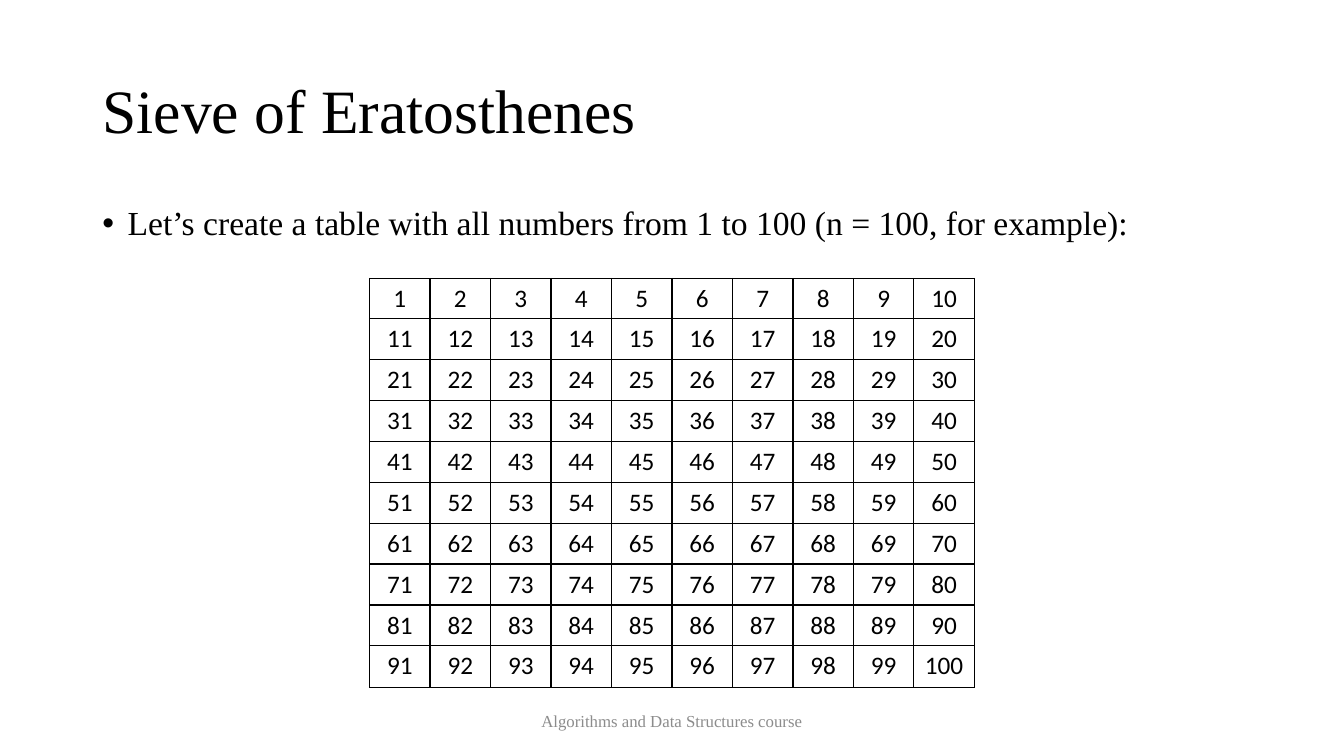
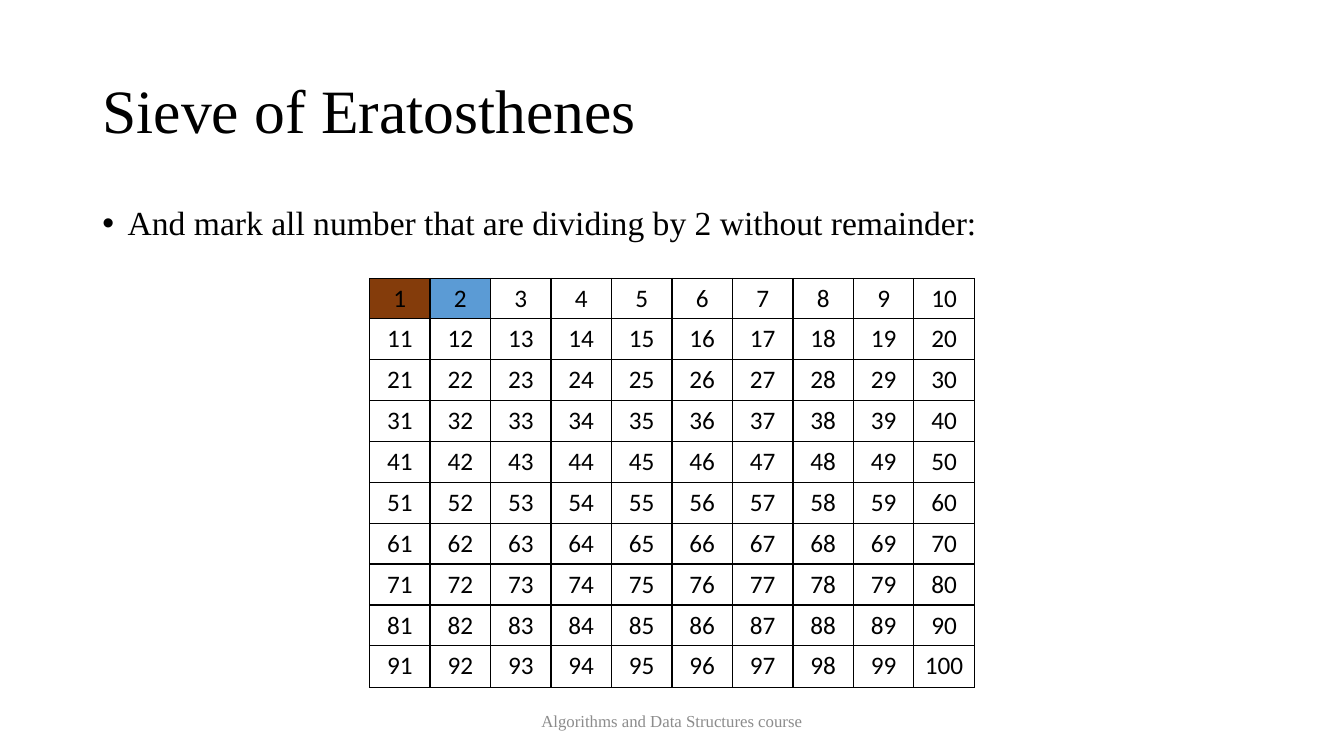
from lxml import etree
from pptx import Presentation
from pptx.dml.color import RGBColor
from pptx.enum import text as t
from pptx.oxml.ns import qn
from pptx.util import Pt

SERIF, SANS = "Times New Roman", "Calibri"
BLACK, GREY, BROWN, BLUE = "000000", "8C8C8C", "843C0B", "5B9BD5"

TITLE_BOX = (66, 28.8, 828, 104.4)
BODY_BOX = (66, 144, 828, 342.72)
FOOTER_BOX = (318, 500.4, 324, 28.8)
GRID_BOX = (264, 198.5, 432, 288)

GRID_SIZE = 10
INNER_LINE, OUTER_LINE = 1, 0.25

SLIDES = [
    ("Let’s create a table with all numbers from 1 to 100 (n = 100, for example):", {}),
    ("And mark all number that are dividing by 2 without remainder:",
     {1: BROWN, 2: BLUE}),
]


def rgb(value):
    return RGBColor.from_string(value)


def write(paragraph, words, size, font=SERIF, color=BLACK, align=t.PP_ALIGN.CENTER):
    paragraph.alignment = align
    run = paragraph.add_run()
    run.text = words
    run.font.size = Pt(size)
    run.font.name = font
    run.font.color.rgb = rgb(color)


def place(shape, box, anchor):
    """Move a text shape to a box and return its first paragraph."""
    shape.left, shape.top, shape.width, shape.height = map(Pt, box)
    frame = shape.text_frame
    frame.word_wrap = True
    frame.auto_size = t.MSO_AUTO_SIZE.NONE
    frame.vertical_anchor = anchor
    return frame.paragraphs[0]


def add_bullet(paragraph, indent):
    props = paragraph._p.get_or_add_pPr()
    props.set("marL", str(Pt(indent)))
    props.set("indent", str(-Pt(indent)))
    etree.SubElement(props, qn("a:buFont")).set("typeface", "Arial")
    etree.SubElement(props, qn("a:buChar")).set("char", "•")


def add_title(slide, box):
    heading = place(slide.shapes.title, box, t.MSO_ANCHOR.MIDDLE)
    heading.line_spacing = 0.9
    write(heading, "Sieve of Eratosthenes", 44, align=t.PP_ALIGN.LEFT)


def add_step(slide, box, words):
    step = place(slide.placeholders[1], box, t.MSO_ANCHOR.TOP)
    add_bullet(step, 18)
    step.line_spacing = 0.9
    step.space_before = Pt(0)
    write(step, words, 24, align=t.PP_ALIGN.LEFT)


def add_footer(slide, box):
    footer = slide.shapes.add_textbox(*map(Pt, box))
    write(place(footer, box, t.MSO_ANCHOR.MIDDLE),
          "Algorithms and Data Structures course", 12, color=GREY)


def set_borders(cell, row, column):
    """Rule the cell, with finer lines along the outside of the grid."""
    last = GRID_SIZE - 1
    outside = {"L": column == 0, "R": column == last, "T": row == 0, "B": row == last}
    props = cell._tc.get_or_add_tcPr()
    for position, (side, is_outer) in enumerate(outside.items()):
        line = etree.Element(qn(f"a:ln{side}"))
        line.set("w", str(Pt(OUTER_LINE if is_outer else INNER_LINE)))
        fill = etree.SubElement(line, qn("a:solidFill"))
        etree.SubElement(fill, qn("a:srgbClr")).set("val", BLACK)
        props.insert(position, line)


def add_number_grid(slide, box, marks):
    """Add the numbers 1 to 100; marks maps a number to its fill."""
    grid = slide.shapes.add_table(GRID_SIZE, GRID_SIZE, *map(Pt, box)).table
    grid.first_row = grid.horz_banding = False
    for number in range(1, GRID_SIZE ** 2 + 1):
        row, column = divmod(number - 1, GRID_SIZE)
        cell = grid.cell(row, column)
        cell.vertical_anchor = t.MSO_ANCHOR.MIDDLE
        if number in marks:
            cell.fill.solid()
            cell.fill.fore_color.rgb = rgb(marks[number])
        else:
            cell.fill.background()
        set_borders(cell, row, column)
        write(cell.text_frame.paragraphs[0], str(number), 18, SANS)


def add_sieve_slide(deck, words, marks):
    slide = deck.slides.add_slide(deck.slide_layouts[1])
    add_title(slide, TITLE_BOX)
    add_step(slide, BODY_BOX, words)
    add_footer(slide, FOOTER_BOX)
    add_number_grid(slide, GRID_BOX, marks)


def main():
    deck = Presentation()
    deck.slide_width, deck.slide_height = Pt(960), Pt(540)
    for words, marks in SLIDES:
        add_sieve_slide(deck, words, marks)
    deck.save("out.pptx")


if __name__ == "__main__":
    main()
